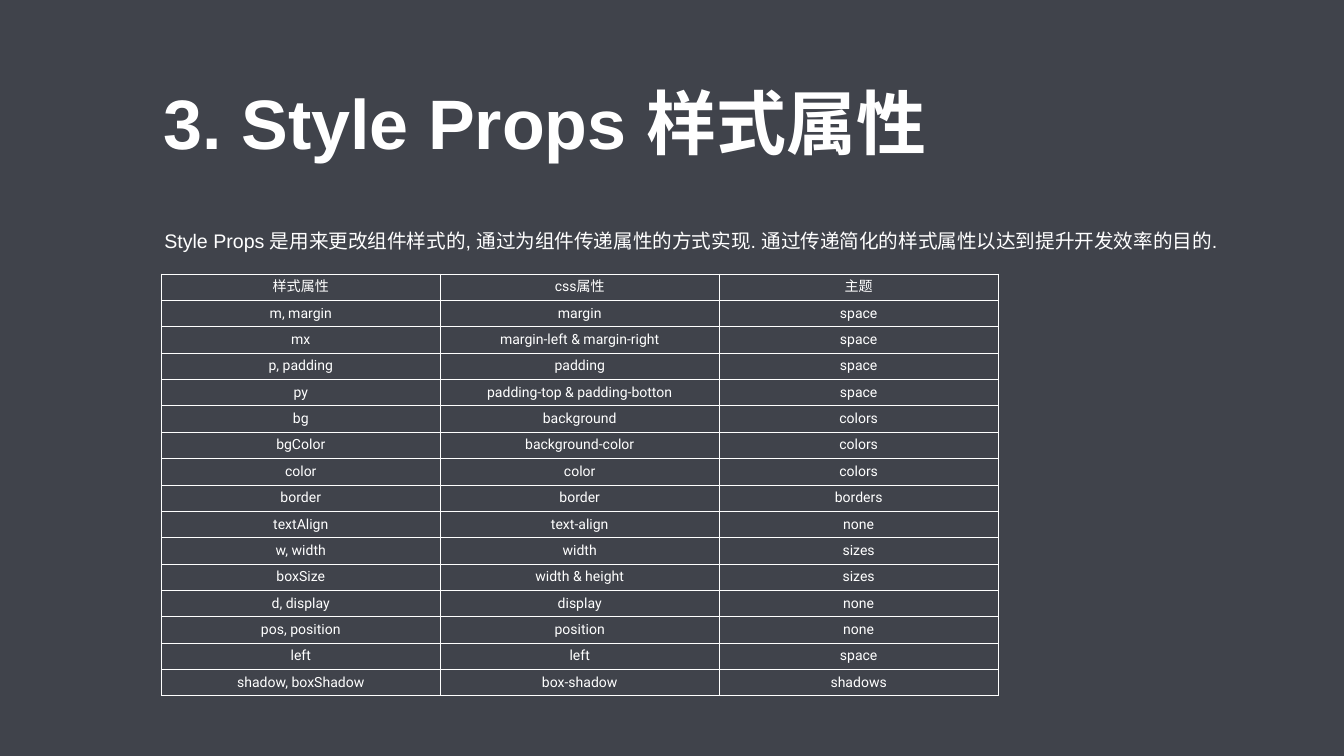
from lxml import etree
from pptx import Presentation
from pptx.dml.color import RGBColor
from pptx.enum.text import MSO_ANCHOR, MSO_AUTO_SIZE, PP_ALIGN
from pptx.oxml.ns import qn
from pptx.util import Pt

BACKGROUND = RGBColor(0x40, 0x43, 0x4B)
WHITE = RGBColor(0xFF, 0xFF, 0xFF)
LEFT, CENTER = PP_ALIGN.LEFT, PP_ALIGN.CENTER
TOP, MIDDLE = MSO_ANCHOR.TOP, MSO_ANCHOR.MIDDLE
NO_AUTOFIT = MSO_AUTO_SIZE.NONE

TITLE_ONLY = 5
MARGIN = 230.4
COL_WIDTH, ROW_HEIGHT = 398.4, 37.7
BORDER = 0.45

STYLE_PROPS = [
    ("样式属性", "css属性", "主题"),
    ("m, margin", "margin", "space"),
    ("mx", "margin-left & margin-right", "space"),
    ("p, padding", "padding", "space"),
    ("py", "padding-top & padding-botton", "space"),
    ("bg", "background", "colors"),
    ("bgColor", "background-color", "colors"),
    ("color", "color", "colors"),
    ("border", "border", "borders"),
    ("textAlign", "text-align", "none"),
    ("w, width", "width", "sizes"),
    ("boxSize", "width & height", "sizes"),
    ("d, display", "display", "none"),
    ("pos, position", "position", "none"),
    ("left", "left", "space"),
    ("shadow, boxShadow", "box-shadow", "shadows"),
]


def write_text(tf, text, size, font="Arial", bold=False, align=LEFT, spacing=1.0):
    p = tf.paragraphs[0]
    p.alignment = align
    p.line_spacing = spacing
    r = p.add_run()
    r.text = text
    r.font.name = font
    r.font.size = Pt(size)
    r.font.bold = bold
    r.font.color.rgb = WHITE
    # Use the same typeface for the Chinese characters
    etree.SubElement(r.font._element, qn("a:ea"), typeface=font)


def set_frame(tf, inset, anchor):
    tf.auto_size = NO_AUTOFIT
    tf.word_wrap = True
    tf.vertical_anchor = anchor
    tf.margin_left = tf.margin_right = Pt(inset)
    tf.margin_top = tf.margin_bottom = Pt(inset)


def add_title(s, text):
    sp = s.shapes.title
    sp.left, sp.top = Pt(MARGIN), Pt(110.2)
    sp.width, sp.height = Pt(1350.7), Pt(127.4)
    set_frame(sp.text_frame, 3.6, MIDDLE)
    write_text(sp.text_frame, text, 100, bold=True)


def add_intro(s, text):
    sp = s.shapes.add_textbox(Pt(MARGIN), Pt(305.3), Pt(1580.4), Pt(58.3))
    set_frame(sp.text_frame, 4.3, TOP)
    write_text(sp.text_frame, text, 28, spacing=1.5)


def set_borders(cell):
    tcPr = cell._tc.get_or_add_tcPr()
    for i, side in enumerate(("lnL", "lnR", "lnT", "lnB")):
        ln = etree.Element(qn(f"a:{side}"), w=str(Pt(BORDER)))
        fill = etree.SubElement(ln, qn("a:solidFill"))
        etree.SubElement(fill, qn("a:srgbClr"), val=str(WHITE))
        tcPr.insert(i, ln)


def add_props_table(s, rows):
    n_rows, n_cols = len(rows), len(rows[0])
    table = s.shapes.add_table(n_rows, n_cols, Pt(MARGIN), Pt(391),
                               Pt(n_cols * COL_WIDTH), Pt(n_rows * ROW_HEIGHT)).table
    table.first_row = table.horz_banding = False
    for column in table.columns:
        column.width = Pt(COL_WIDTH)
    for row, texts in zip(table.rows, rows):
        row.height = Pt(ROW_HEIGHT)
        for cell, text in zip(row.cells, texts):
            cell.fill.background()
            cell.vertical_anchor = MIDDLE
            cell.margin_left = cell.margin_right = Pt(4.3)
            cell.margin_top = cell.margin_bottom = Pt(3.6)
            set_borders(cell)
            write_text(cell.text_frame, text, 20, font="Roboto", align=CENTER)


def main():
    prs = Presentation()
    prs.slide_width, prs.slide_height = Pt(1919.5), Pt(1080)
    s = prs.slides.add_slide(prs.slide_layouts[TITLE_ONLY])
    s.background.fill.solid()
    s.background.fill.fore_color.rgb = BACKGROUND

    # Heading and introduction
    add_title(s, "3. Style Props 样式属性")
    add_intro(s, "Style Props 是用来更改组件样式的, 通过为组件传递属性的方式实现. "
                 "通过传递简化的样式属性以达到提升开发效率的目的.")

    # Shorthand props, their CSS properties and theme keys
    add_props_table(s, STYLE_PROPS)

    prs.save("out.pptx")


if __name__ == "__main__":
    main()
